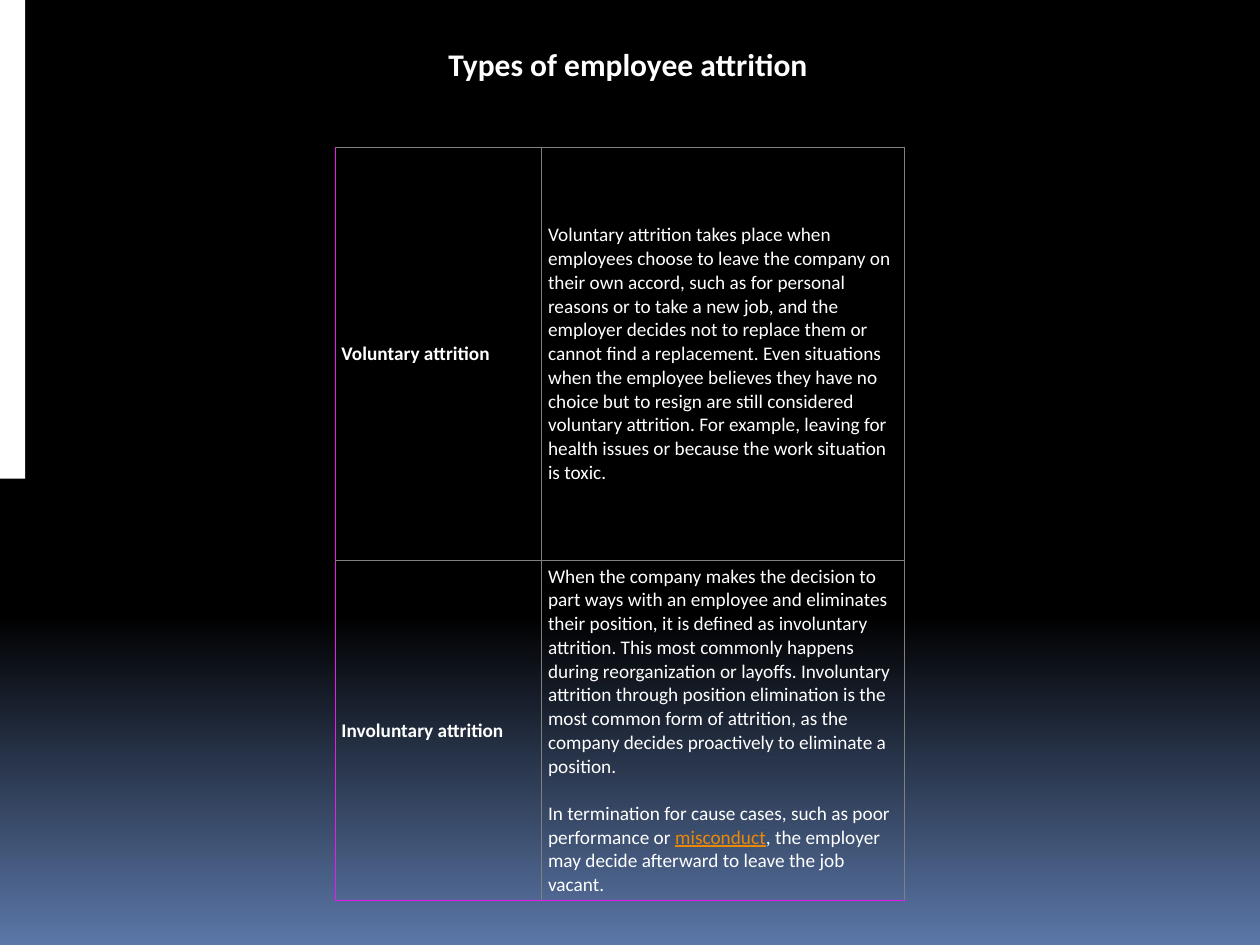
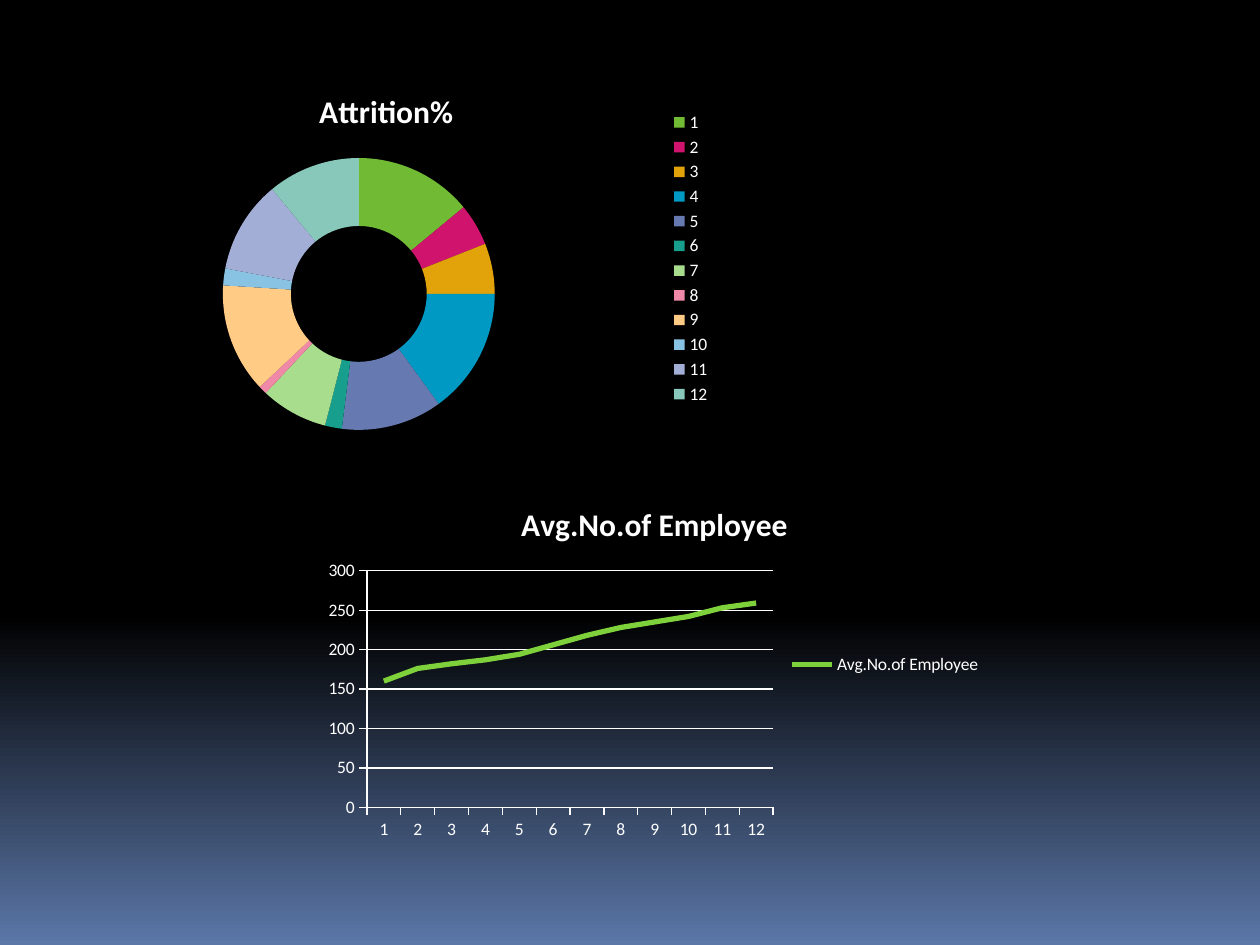
from copy import deepcopy

from lxml.etree import SubElement
from pptx import Presentation
from pptx.chart.data import CategoryChartData
from pptx.dml.color import RGBColor
from pptx.enum.chart import XL_CHART_TYPE, XL_LEGEND_POSITION, XL_TICK_MARK
from pptx.enum.shapes import MSO_SHAPE
from pptx.enum.text import MSO_ANCHOR
from pptx.oxml.ns import qn
from pptx.util import Inches, Pt

COLORS = {
    "background": "000000",
    "glow": "5B77A8",
    "text": "FFFFFF",
    "link": "EB8803",
    "border": "E81CED",
    "grid": "808080",
    "series": "7FD13B",
}
SEGMENT_COLORS = [
    "70BA34", "D0136C", "E1A20A", "0099C3", "667AB1", "179E8C",
    "A7DD8C", "F088A8", "FFCB85", "88C3E3", "A3AED7", "88C8BA",
]
FONT = "Calibri"
MONTHS = [str(month) for month in range(1, 13)]
ATTRITION = [14, 5, 6, 15, 12, 2, 8, 1, 13, 2, 11, 11]
EMPLOYEES = [160, 176, 182, 187, 194, 206, 218, 228, 235, 242, 253, 259]

VOLUNTARY = (
    "Voluntary attrition takes place when employees choose to leave the company on their own "
    "accord, such as for personal reasons or to take a new job, and the employer decides not to "
    "replace them or cannot find a replacement. Even situations when the employee believes they "
    "have no choice but to resign are still considered voluntary attrition. For example, leaving "
    "for health issues or because the work situation is toxic."
)
INVOLUNTARY = (
    "When the company makes the decision to part ways with an employee and eliminates their "
    "position, it is defined as involuntary attrition. This most commonly happens during "
    "reorganization or layoffs. Involuntary attrition through position elimination is the most "
    "common form of attrition, as the company decides proactively to eliminate a position."
)
TERMINATION = [
    ("In termination for cause cases, such as poor performance or ", {}),
    ("misconduct", {"color": "link", "underline": True}),
    (", the employer may decide afterward to leave the job vacant.", {}),
]
ATTRITION_TYPES = [
    [[[("Voluntary attrition", {"bold": True})]], [[(VOLUNTARY, {})]]],
    [[[("Involuntary attrition", {"bold": True})]], [[(INVOLUNTARY, {})], TERMINATION]],
]


def rgb(name):
    """Return the named colour."""
    return RGBColor.from_string(COLORS[name])


def format_font(font, size=11, bold=False, color="text", underline=None):
    """Apply the deck's font with the given format."""
    font.name, font.size, font.bold, font.underline = FONT, Pt(size), bold, underline
    font.color.rgb = rgb(color)


def write_text(paragraph, text, **text_format):
    """Add formatted text to a paragraph."""
    run = paragraph.add_run()
    run.text = text
    format_font(run.font, **text_format)


class DeckBuilder:
    """Hold the shared style and the current slide."""

    def __init__(self):
        """Start an empty 10 by 7.5 inch presentation."""
        self.presentation = Presentation()
        self.presentation.slide_width = Inches(10)
        self.presentation.slide_height = Inches(7.5)
        self.slide = None

    def add_slide(self):
        """Add a blank slide with the shared gradient background."""
        self.slide = self.presentation.slides.add_slide(self.presentation.slide_layouts[6])
        fill = self.slide.background.fill
        fill.gradient()
        fill.gradient_angle = 270
        for stop, position, name in zip(fill.gradient_stops, (0.65, 1), ("background", "glow")):
            stop.position = position
            stop.color.rgb = rgb(name)
        stop_list = self.slide.element.xpath(".//p:bg//a:gsLst")[0]
        first_stop = deepcopy(stop_list[0])
        first_stop.set("pos", "0")
        stop_list.insert(0, first_stop)

    def add_side_band(self, left, top, width, height):
        """Draw a plain white band."""
        shape = self.slide.shapes.add_shape(
            MSO_SHAPE.RECTANGLE, Inches(left), Inches(top), Inches(width), Inches(height))
        shape.shadow.inherit = False
        shape.fill.solid()
        shape.fill.fore_color.rgb = rgb("text")
        shape.line.fill.background()

    def add_title(self, text, left, top, width, height):
        """Add the slide title."""
        shape = self.slide.shapes.add_textbox(
            Inches(left), Inches(top), Inches(width), Inches(height))
        write_text(shape.text_frame.paragraphs[0], text, size=18, bold=True)

    def set_borders(self, cell, **side_colors):
        """Draw the four cell borders."""
        properties = cell._tc.get_or_add_tcPr()
        for index, side in enumerate("LRTB"):
            line = SubElement(properties, qn(f"a:ln{side}"), w=str(Pt(0.75)))
            fill = SubElement(line, qn("a:solidFill"))
            SubElement(fill, qn("a:srgbClr"), val=COLORS[side_colors.get(side, "grid")])
            properties.insert(index, line)

    def fill_cell(self, cell, paragraphs):
        """Write paragraphs of formatted runs into a transparent cell."""
        cell.fill.background()
        cell.vertical_anchor = MSO_ANCHOR.MIDDLE
        cell.margin_left = cell.margin_right = Inches(0.05)
        cell.margin_top = cell.margin_bottom = Inches(0.03)
        for index, runs in enumerate(paragraphs):
            frame = cell.text_frame
            paragraph = frame.add_paragraph() if index else frame.paragraphs[0]
            if index:
                paragraph.space_before = Pt(13.4)
            for text, text_format in runs:
                write_text(paragraph, text, **text_format)

    def add_table(self, rows, left, top, widths, heights):
        """Add a table with a coloured left and bottom edge."""
        table = self.slide.shapes.add_table(
            len(heights), len(widths), Inches(left), Inches(top),
            Inches(sum(widths)), Inches(sum(heights))).table
        table.first_row = table.horz_banding = False
        for column, width in zip(table.columns, widths):
            column.width = Inches(width)
        for row_index, row in enumerate(rows):
            table.rows[row_index].height = Inches(heights[row_index])
            for column_index, paragraphs in enumerate(row):
                cell = table.cell(row_index, column_index)
                self.fill_cell(cell, paragraphs)
                edges = {}
                if column_index == 0:
                    edges["L"] = "border"
                if row_index == len(rows) - 1:
                    edges["B"] = "border"
                self.set_borders(cell, **edges)

    def add_chart(self, chart_type, name, values, left, top, width, height):
        """Add a titled single-series chart with a legend on the right."""
        data = CategoryChartData()
        data.categories = MONTHS
        data.add_series(name, values)
        chart = self.slide.shapes.add_chart(
            chart_type, Inches(left), Inches(top), Inches(width), Inches(height), data).chart
        format_font(chart.font, size=10)
        chart.has_title = True
        write_text(chart.chart_title.text_frame.paragraphs[0], name, size=18, bold=True)
        chart.chart_title.include_in_layout = False
        chart.has_legend = True
        chart.legend.position = XL_LEGEND_POSITION.RIGHT
        chart.legend.include_in_layout = False
        return chart

    def add_doughnut(self, name, values, *place):
        """Add a doughnut chart with one colour per segment."""
        chart = self.add_chart(XL_CHART_TYPE.DOUGHNUT, name, values, *place)
        for index, color in enumerate(SEGMENT_COLORS):
            fill = chart.plots[0].series[0].points[index].format.fill
            fill.solid()
            fill.fore_color.rgb = RGBColor.from_string(color)

    def add_line_chart(self, name, values, *place):
        """Add a line chart with white axes and gridlines."""
        chart = self.add_chart(XL_CHART_TYPE.LINE, name, values, *place)
        chart.plots[0].vary_by_categories = False
        series = chart.plots[0].series[0]
        series.smooth = False
        series.format.line.width = Pt(3)
        series.format.line.color.rgb = rgb("series")
        value_axis = chart.value_axis
        value_axis.has_major_gridlines = True
        value_axis.minimum_scale, value_axis.maximum_scale, value_axis.major_unit = 0, 300, 50
        for axis in (chart.category_axis, value_axis):
            axis.major_tick_mark = XL_TICK_MARK.OUTSIDE
        for part in (chart.category_axis, value_axis, value_axis.major_gridlines):
            part.format.line.color.rgb = rgb("text")
            part.format.line.width = Pt(0.75)


def main():
    """Build and save the two slides."""
    deck = DeckBuilder()

    deck.add_slide()
    deck.add_table(ATTRITION_TYPES, 2.66, 1.17, [1.64, 2.88], [3.28, 2.69])
    deck.add_side_band(0, 0, 0.2, 3.8)
    deck.add_title("Types of employee attrition", 3.46, 0.31, 3.08, 0.4)

    deck.add_slide()
    deck.add_doughnut("Attrition%", ATTRITION, 0.39, 0.55, 5.35, 3)
    deck.add_line_chart("Avg.No.of Employee", EMPLOYEES, 2.5, 3.83, 5.39, 2.89)

    deck.presentation.save("out.pptx")


if __name__ == "__main__":
    main()
